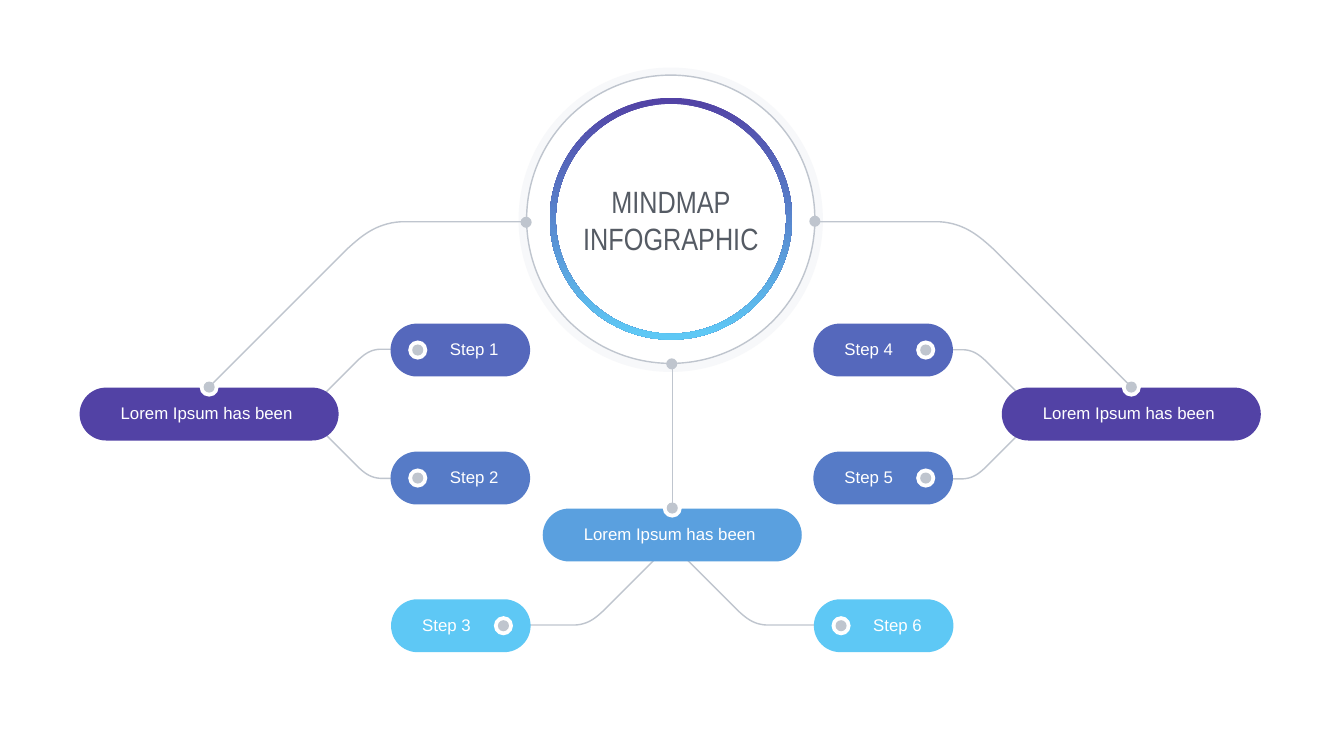
from lxml import etree
from pptx import Presentation
from pptx.dml.color import RGBColor
from pptx.enum.shapes import MSO_CONNECTOR, MSO_SHAPE
from pptx.enum.text import MSO_ANCHOR, PP_ALIGN
from pptx.oxml.ns import qn
from pptx.util import Inches, Pt

PILL, CIRCLE, RING = MSO_SHAPE.ROUNDED_RECTANGLE, MSO_SHAPE.OVAL, MSO_SHAPE.DONUT
STRAIGHT = MSO_CONNECTOR.STRAIGHT
LEFT, CENTER = PP_ALIGN.LEFT, PP_ALIGN.CENTER
TOP, MIDDLE = MSO_ANCHOR.TOP, MSO_ANCHOR.MIDDLE
GREY, WHITE, INK, HALO = "BFC5CE", "FFFFFF", "555B64", "EFF0F4"
PURPLE, INDIGO, BLUE, AZURE, SKY = "5242A5", "5568BC", "567BC7", "5AA0DF", "5EC8F5"
PILL_HEIGHT, TOPIC_WIDTH, STEP_WIDTH = 1.05, 5.14, 2.77
DOT, DOT_RIM = 0.22, 0.38
BEND = [(0.835, 0.835), (0.913, 0.905), (1.005, 0.99), (1.162, 1)]
BEND_PIECES = 16


def color(value):
    """Return the colour for a hex string."""
    return RGBColor.from_string(value)


def add_figure(page, kind, left, top, width, height, fill=None, line=None):
    """Add a flat preset shape."""
    shape = page.shapes.add_shape(kind, *map(Inches, (left, top, width, height)))
    finish(shape, fill, line)
    return shape


def finish(shape, fill, line):
    """Set the fill and outline of a shape and drop its shadow."""
    shape.shadow.inherit = False
    if fill:
        shape.fill.solid()
        shape.fill.fore_color.rgb = color(fill)
    else:
        shape.fill.background()
    if line:
        shape.line.color.rgb = color(line)
        shape.line.width = Pt(2)
    else:
        shape.line.fill.background()


def add_label(page, box, lines, size, font, ink, align=LEFT, anchor=TOP, wrap=True, inset=None):
    """Add a text box with one paragraph for each line."""
    frame = page.shapes.add_textbox(*map(Inches, box)).text_frame
    frame.word_wrap = wrap
    frame.vertical_anchor = anchor
    if inset is not None:
        frame.margin_left = frame.margin_right = Inches(inset)
        frame.margin_top = frame.margin_bottom = Inches(inset)
    for index, line in enumerate(lines):
        para = frame.add_paragraph() if index else frame.paragraphs[0]
        para.alignment = align
        span = para.add_run()
        span.text = line
        span.font.size = Pt(size)
        span.font.name = font
        span.font.color.rgb = color(ink)


def add_dot(page, x, y, rimmed=True):
    """Add a grey dot centred on a point, with a white rim if wanted."""
    sizes = [(DOT_RIM, WHITE), (DOT, GREY)] if rimmed else [(DOT, GREY)]
    for size, fill in sizes:
        add_figure(page, CIRCLE, x - size / 2, y - size / 2, size, size, fill)


def add_pill(page, left, top, width, fill):
    """Add a bar with fully rounded ends."""
    pill = add_figure(page, PILL, left, top, width, PILL_HEIGHT, fill)
    pill.adjustments[0] = 0.5
    return pill


def add_branch(page, start, end):
    """Draw a diagonal that bends softly into a level line."""
    height = abs(end[1] - start[1])
    across = height if end[0] > start[0] else -height
    down = end[1] - start[1]
    points = []
    for piece in range(BEND_PIECES + 1):
        t = piece / BEND_PIECES
        weights = ((1 - t) ** 3, 3 * t * (1 - t) ** 2, 3 * t * t * (1 - t), t ** 3)
        x = sum(weight * knot[0] for weight, knot in zip(weights, BEND))
        y = sum(weight * knot[1] for weight, knot in zip(weights, BEND))
        points.append((start[0] + across * x, start[1] + down * y))
    points.append(end)
    builder = page.shapes.build_freeform(Inches(start[0]), Inches(start[1]))
    builder.add_line_segments([(Inches(x), Inches(y)) for x, y in points], close=False)
    finish(builder.convert_to_shape(), None, GREY)


def add_step(page, left, top, name, fill, dot_first):
    """Add a step pill with its dot at the start or the end."""
    add_pill(page, left, top, STEP_WIDTH, fill)
    dot_x = 0.54 if dot_first else STEP_WIDTH - 0.54
    add_dot(page, left + dot_x, top + PILL_HEIGHT / 2)
    box = (left + (1.08 if dot_first else 0.52), top + 0.26, 1.17, 0.5)
    add_label(page, box, [name], 24, "Arial", WHITE, wrap=False)


def add_topic(page, left, top, fill):
    """Add a topic pill with a dot on its top edge."""
    pill = add_pill(page, left, top, TOPIC_WIDTH, fill)
    add_dot(page, left + TOPIC_WIDTH / 2, top - 0.01)
    box = (left + 0.32, top + 0.25, 4.49, 0.5)
    add_label(page, box, ["Lorem Ipsum has been "], 24, "Arial", WHITE, CENTER)
    return pill


def add_hub(page, left, top, size):
    """Add the central rings and the title inside them."""
    halo = add_figure(page, RING, left, top, size, size, HALO)
    halo.adjustments[0] = 0.025
    tint = halo.element.spPr.find(qn("a:solidFill")).find(qn("a:srgbClr"))
    etree.SubElement(tint, qn("a:alpha")).set("val", "45000")
    band = add_figure(page, RING, left + 0.62, top + 0.6, 4.81, 4.8)
    band.adjustments[0] = 0.025
    band.fill.gradient()
    band.fill.gradient_angle = 270
    for stop, (position, tone) in zip(band.fill.gradient_stops, [(0, PURPLE), (0.98, SKY)]):
        stop.position = position
        stop.color.rgb = color(tone)
    add_label(page, (left + 0.81, top + 2.36, 4.43, 1.32), ["MINDMAP", "INFOGRAPHIC"],
              44, "Arial Narrow", INK, CENTER, MIDDLE, inset=0.06)
    add_figure(page, CIRCLE, left + 0.16, top + 0.15, 5.72, 5.72, line=GREY)


def add_stem(page, x, top, topic):
    """Join the hub to the topic right below it."""
    stem = page.shapes.add_connector(STRAIGHT, Inches(x), Inches(top), Inches(x), topic.top)
    stem.end_connect(topic, 0)
    stem.line.color.rgb = color(GREY)
    stem.line.width = Pt(2)
    etree.SubElement(stem.element.spPr, qn("a:effectLst"))


def build_mindmap(page):
    """Place the branches, pills, hub and joints of the mind map."""
    for start, end in [
        ((6.04, 8.21), (8.36, 6.93)), ((6.04, 8.2), (8.36, 9.49)),
        ((20.62, 8.22), (18.3, 6.94)), ((20.62, 8.21), (18.3, 9.5)),
        ((13.31, 10.78), (16.2, 12.4)), ((13.31, 10.78), (10.42, 12.4)),
    ]:
        add_branch(page, start, end)
    for left, top, name, fill, dot_first in [
        (7.75, 6.42, "Step 1", INDIGO, True), (7.75, 8.96, "Step 2", BLUE, True),
        (7.76, 11.89, "Step 3", SKY, False), (16.14, 6.42, "Step 4", INDIGO, False),
        (16.14, 8.96, "Step 5", BLUE, False), (16.15, 11.89, "Step 6", SKY, True),
    ]:
        add_step(page, left, top, name, fill, dot_first)
    add_topic(page, 1.58, 7.69, PURPLE)
    add_topic(page, 19.88, 7.69, PURPLE)
    center_topic = add_topic(page, 10.77, 10.09, AZURE)
    add_hub(page, 10.29, 1.34, 6.04)
    add_branch(page, (4.22, 7.61), (10.43, 4.4))
    add_branch(page, (22.38, 7.61), (16.17, 4.4))
    add_stem(page, 13.34, 7.19, center_topic)
    for x, y in [(10.44, 4.41), (16.17, 4.39), (13.33, 7.22)]:
        add_dot(page, x, y, rimmed=False)


def main():
    """Build and save the deck."""
    deck = Presentation()
    deck.slide_width, deck.slide_height = Inches(26.67), Inches(15)
    build_mindmap(deck.slides.add_slide(deck.slide_layouts[6]))
    deck.save("out.pptx")


if __name__ == "__main__":
    main()
